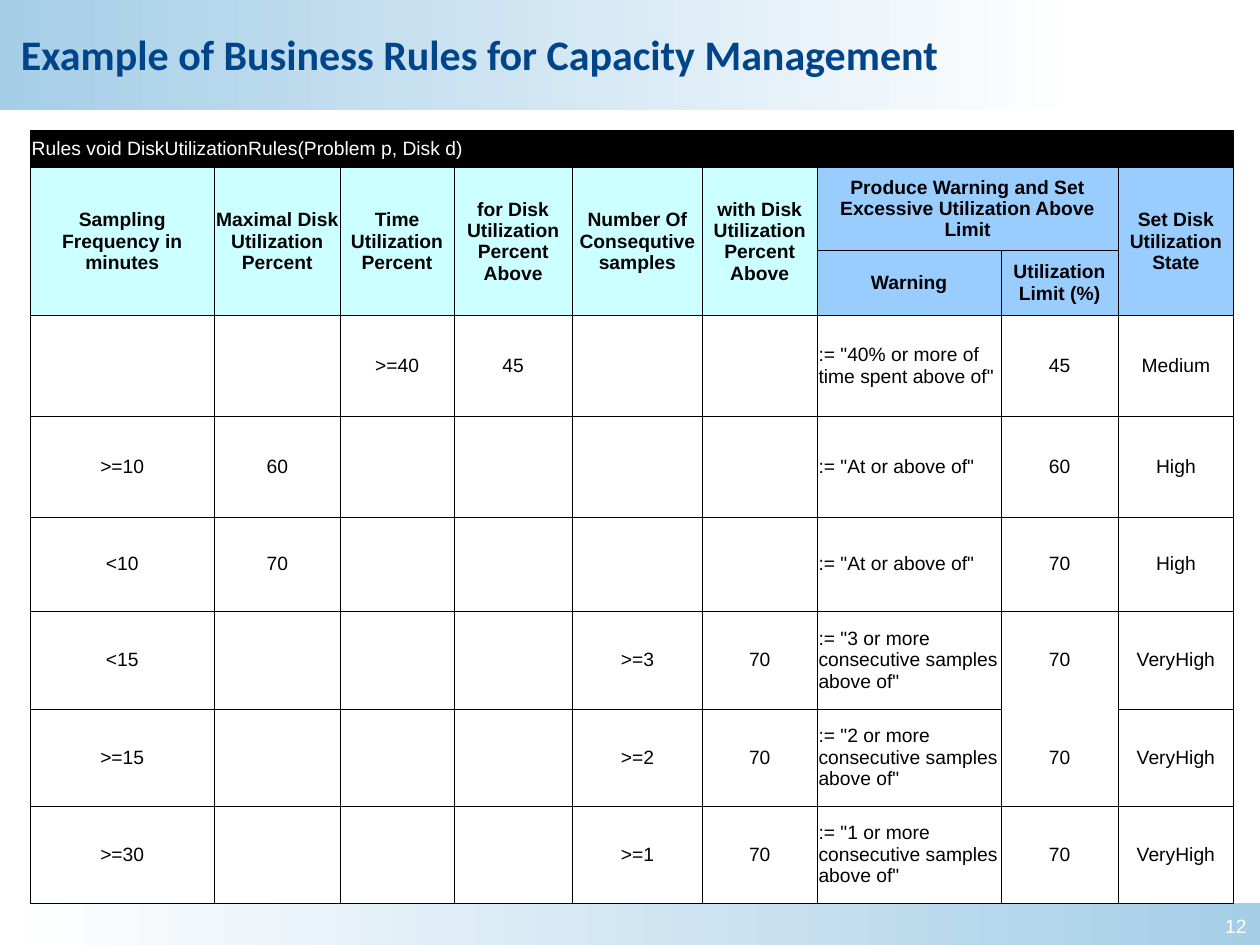
from dataclasses import dataclass

from lxml.etree import SubElement
from pptx import Presentation
from pptx.dml.color import RGBColor as Rgb
from pptx.enum.shapes import MSO_SHAPE as Shape
from pptx.enum.text import MSO_ANCHOR as Anchor, MSO_AUTO_SIZE as AutoSize, PP_ALIGN as Align
from pptx.oxml.ns import qn
from pptx.util import Cm, Pt


@dataclass(frozen=True)
class Theme:
    sky: str = "A5CEE7"
    white: str = "FFFFFF"
    black: str = "000000"
    navy: str = "00458A"
    condition: str = "CCFFFF"
    action: str = "99CCFF"
    heading_font: str = "Calibri"
    body_font: str = "Arial"
    heading_size: float = 24
    body_size: float = 11
    thick: float = 0.45
    thin: float = 0.23
    no_table_style: str = "{2D5ABB26-0587-4C30-8999-92F81FD0307C}"


THEME = Theme()

COLUMN_WIDTHS = [3.71, 2.54, 2.29, 2.39, 2.62, 2.31, 3.71, 2.36, 2.33]
ROW_HEIGHTS = [0.76, 1.42, 1.32, 2.03, 2.03, 1.91, 1.96, 1.96, 1.96]
WARNING, LIMIT, STATE = 6, 7, 8
FIRST_RULE = 3
# Columns that share a thin edge with their left neighbour
PAIRED_COLUMNS = {3, 5, 7}
# Rows whose limits stand together with no line between them
OPEN_LIMIT_EDGE = 7

SIGNATURE = "Rules void DiskUtilizationRules(Problem p, Disk d)"
CONDITIONS = [
    "Sampling Frequency in minutes",
    "Maximal Disk Utilization Percent",
    "Time Utilization Percent",
    "for Disk Utilization Percent Above",
    "Number Of Consequtive samples",
    "with Disk Utilization Percent Above",
]
RULES = [
    ["", "", ">=40", "45", "", "", ':= "40% or more of time spent above of"', "45", "Medium"],
    [">=10", "60", "", "", "", "", ':= "At or above of"', "60", "High"],
    ["<10", "70", "", "", "", "", ':= "At or above of"', "70", "High"],
    ["<15", "", "", "", ">=3", "70", ':= "3 or more consecutive samples above of"', "70", "VeryHigh"],
    [">=15", "", "", "", ">=2", "70", ':= "2 or more consecutive samples above of"', "70", "VeryHigh"],
    [">=30", "", "", "", ">=1", "70", ':= "1 or more consecutive samples above of"', "70", "VeryHigh"],
]


def color(value):
    return Rgb.from_string(value)


def place(shape, left, top, width, height):
    shape.left, shape.top = Cm(left), Cm(top)
    shape.width, shape.height = Cm(width), Cm(height)


def fill_gradient(shape, start, end):
    shape.fill.gradient()
    shape.fill.gradient_angle = 0
    for stop, value in zip(shape.fill.gradient_stops, (start, end)):
        stop.color.rgb = color(value)


def write(frame, text, align, ink, size=THEME.body_size, font=THEME.body_font, bold=False):
    frame.text = text
    para = frame.paragraphs[0]
    para.alignment = align
    for span in para.runs:
        span.font.name, span.font.size, span.font.bold = font, Pt(size), bold
        span.font.color.rgb = color(ink)


def add_title(page):
    title = page.shapes.title
    place(title, -0.03, -0.03, 21.84, 2.24)
    fill_gradient(title, THEME.sky, THEME.white)
    frame = title.text_frame
    frame.auto_size = AutoSize.NONE
    frame.vertical_anchor = Anchor.MIDDLE
    frame.margin_left, frame.margin_right = Cm(0.45), 0
    write(frame, "Example of Business Rules for Capacity Management", Align.LEFT,
          THEME.navy, THEME.heading_size, THEME.heading_font, bold=True)


def add_footer(page, number):
    band = page.shapes.add_shape(Shape.RECTANGLE, 0, Cm(18.21), Cm(25.4), Cm(0.84))
    band.shadow.inherit = False
    band.line.fill.background()
    fill_gradient(band, THEME.white, THEME.sky)
    box = page.shapes.add_textbox(Cm(24.26), Cm(18.31), Cm(1.12), Cm(0.74))
    box.text_frame.word_wrap = True
    write(box.text_frame, number, Align.RIGHT, THEME.white)


def row_edge(row, column):
    """Weight of the line above a row."""
    if row == 0 or (row == OPEN_LIMIT_EDGE and column == LIMIT):
        return None
    split_header = row == 2 and column in (WARNING, LIMIT)
    return THEME.thin if row > FIRST_RULE or split_header else THEME.thick


def column_edge(column):
    """Weight of the line left of a column."""
    return THEME.thin if column in PAIRED_COLUMNS else THEME.thick


def draw_borders(cell, row, column):
    below = row + (cell.span_height if cell.is_merge_origin else 1)
    after = column + (cell.span_width if cell.is_merge_origin else 1)
    weights = {
        "a:lnL": column_edge(column),
        "a:lnR": column_edge(after) if row else None,
        "a:lnT": row_edge(row, column),
        "a:lnB": row_edge(below, column),
    }
    properties = cell._tc.get_or_add_tcPr()
    for side, weight in weights.items():
        line = SubElement(properties, qn(side))
        if weight is None:
            SubElement(line, qn("a:noFill"))
            continue
        line.set("w", str(Pt(weight)))
        SubElement(SubElement(line, qn("a:solidFill")), qn("a:srgbClr")).set("val", THEME.black)


def format_cell(cell, row, column, text):
    draw_borders(cell, row, column)
    cell.margin_left = cell.margin_right = Cm(0.03)
    cell.margin_top = cell.margin_bottom = Cm(0.13)
    cell.vertical_anchor = Anchor.MIDDLE
    if row >= FIRST_RULE:
        cell.fill.background()
    else:
        header = THEME.action if column >= WARNING else THEME.condition
        cell.fill.solid()
        cell.fill.fore_color.rgb = color(header if row else THEME.black)
    left_aligned = row == 0 or (row >= FIRST_RULE and column == WARNING)
    write(cell.text_frame, text, Align.LEFT if left_aligned else Align.CENTER,
          THEME.black if row else THEME.white, bold=0 < row < FIRST_RULE)


def add_rules_table(page):
    frame = page.shapes.add_table(len(ROW_HEIGHTS), len(COLUMN_WIDTHS), Cm(0.61), Cm(2.62),
                                  Cm(sum(COLUMN_WIDTHS)), Cm(sum(ROW_HEIGHTS)))
    table = frame.table
    table.first_row = table.horz_banding = False
    table._tbl.tblPr.find(qn("a:tableStyleId")).text = THEME.no_table_style
    for column, width in zip(table.columns, COLUMN_WIDTHS):
        column.width = Cm(width)
    for row, height in zip(table.rows, ROW_HEIGHTS):
        row.height = Cm(height)

    # Header spans: signature, condition columns, action group
    table.cell(0, 0).merge(table.cell(0, STATE))
    for column in [*range(WARNING), STATE]:
        table.cell(1, column).merge(table.cell(2, column))
    table.cell(1, WARNING).merge(table.cell(1, LIMIT))

    contents = [
        [SIGNATURE] + [""] * STATE,
        CONDITIONS + ["Produce Warning and Set Excessive Utilization Above Limit", "",
                      "Set Disk Utilization State"],
        [""] * WARNING + ["Warning", "Utilization Limit (%)", ""],
        *RULES,
    ]
    for row, texts in enumerate(contents):
        for column, text in enumerate(texts):
            cell = table.cell(row, column)
            if not cell.is_spanned:
                format_cell(cell, row, column, text)


def main():
    deck = Presentation()
    deck.slide_width, deck.slide_height = Cm(25.4), Cm(19.05)
    page = deck.slides.add_slide(deck.slide_layouts.get_by_name("Title Only"))
    add_title(page)
    add_footer(page, "12")
    add_rules_table(page)
    deck.save("out.pptx")


if __name__ == "__main__":
    main()
